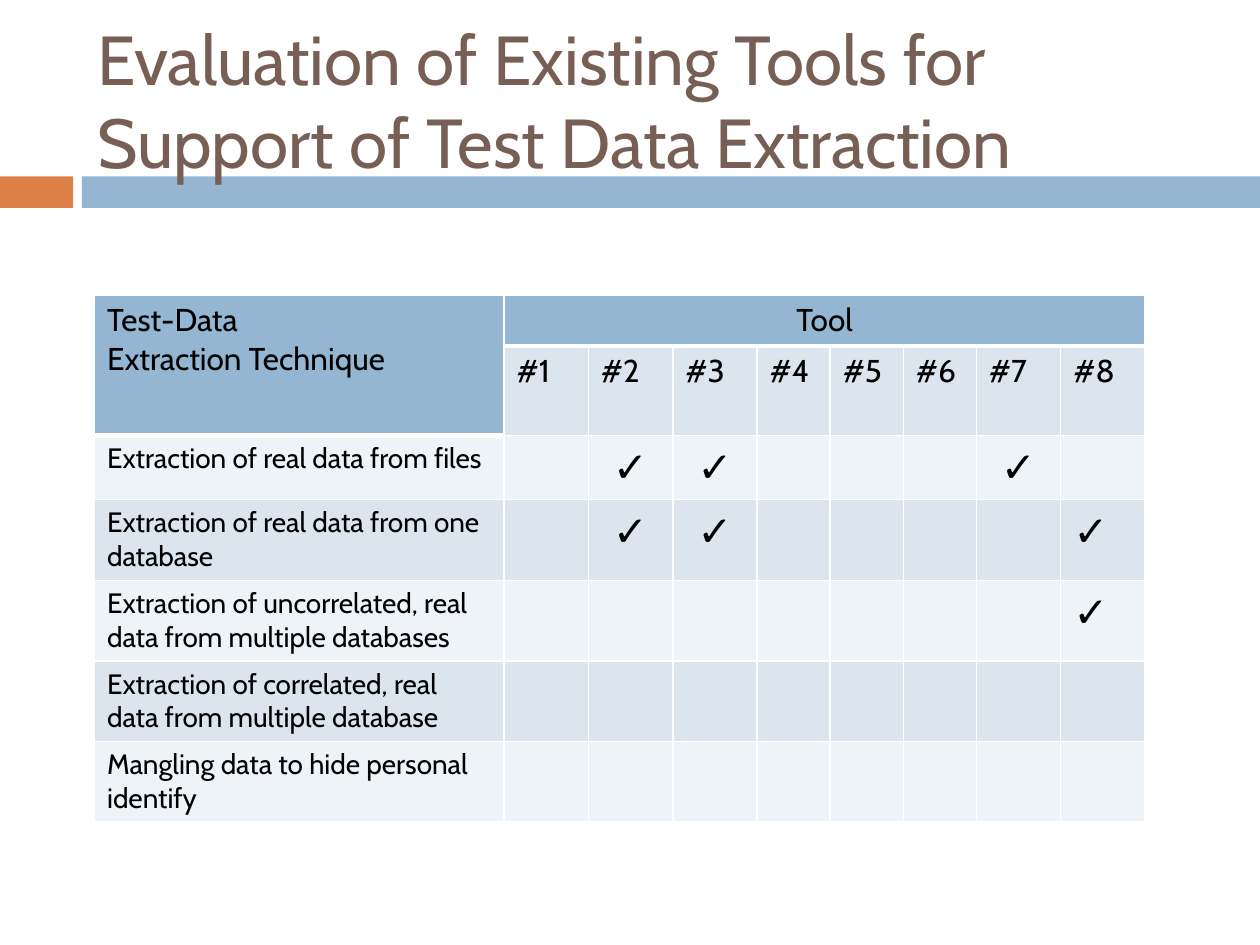
import pptx
import pptx.util
import pptx.dml.color
import pptx.enum.shapes
import pptx.enum.text
import pptx.oxml
import pptx.oxml.ns

Inches = pptx.util.Inches
ALIGN = pptx.enum.text.PP_ALIGN

TITLE = "Evaluation of Existing Tools for Support of Test Data Extraction"
TECHNIQUE_HEADING = "Test-Data\nExtraction Technique"
TOOL_HEADING = "Tool"
TOOL_COUNT = 8
# Technique, then the alignment of the check mark for each supporting tool
TECHNIQUES = [
    ("Extraction of real data from files",
     {2: ALIGN.CENTER, 3: ALIGN.CENTER, 7: ALIGN.CENTER}),
    ("Extraction of real data from one database",
     {2: ALIGN.CENTER, 3: ALIGN.CENTER, 8: ALIGN.LEFT}),
    ("Extraction of uncorrelated, real data from multiple databases",
     {8: ALIGN.LEFT}),
    ("Extraction of correlated, real data from multiple database", {}),
    ("Mangling data to hide personal identify", {}),
]

THEME = {
    "font": "Cabin",
    "title": "775F55", "text": "000000", "line": "FFFFFF",
    "accent": "DD8047", "header": "94B6D2",
    "bands": ("DCE5EE", "EEF3F7"),
    "title_size": 39.6, "header_size": 18, "body_size": 16, "check_size": 24,
}
BARS = [(0, 0.58, THEME["accent"]), (0.65, 9.35, THEME["header"])]
BAR_TOP, BAR_HEIGHT = 1.4, 0.25
COLUMN_WIDTHS = [3.25] + [0.67] * 3 + [0.58] * 3 + [0.67] * 2
ROW_HEIGHTS = [0.4, 0.7, 0.51] + [0.64] * 4


def rgb(value):
    return pptx.dml.color.RGBColor.from_string(value)


def write(frame, text, size, color=THEME["text"], align=ALIGN.LEFT):
    frame.text = text
    for paragraph in frame.paragraphs:
        paragraph.alignment = align
        for run in paragraph.runs:
            run.font.name = THEME["font"]
            run.font.size = pptx.util.Pt(size)
            run.font.bold = False
            run.font.color.rgb = rgb(color)


def style_cell(cell, fill, bottom=1):
    """Give the cell its borders (widths in points), then its fill."""
    properties = cell._tc.get_or_add_tcPr()
    for side, width in (("L", 1), ("R", 1), ("T", 1), ("B", bottom)):
        properties.append(pptx.oxml.parse_xml(
            f'<a:ln{side} {pptx.oxml.ns.nsdecls("a")} w="{pptx.util.Pt(width)}">'
            f'<a:solidFill><a:srgbClr val="{THEME["line"]}"/></a:solidFill>'
            f'</a:ln{side}>'))
    cell.fill.solid()
    cell.fill.fore_color.rgb = rgb(fill)


def add_title(slide):
    title = slide.shapes.title
    title.left, title.top = Inches(0.67), Inches(0.25)
    title.width, title.height = Inches(8.92), Inches(1.08)
    frame = title.text_frame
    frame.word_wrap = True
    frame.auto_size = pptx.enum.text.MSO_AUTO_SIZE.NONE
    frame.vertical_anchor = pptx.enum.text.MSO_ANCHOR.MIDDLE
    write(frame, TITLE, THEME["title_size"], color=THEME["title"])


def add_bars(slide):
    """Place the divider bars behind the title."""
    for left, width, color in BARS:
        bar = slide.shapes.add_shape(
            pptx.enum.shapes.MSO_SHAPE.RECTANGLE,
            Inches(left), Inches(BAR_TOP), Inches(width), Inches(BAR_HEIGHT))
        bar.shadow.inherit = False
        bar.fill.solid()
        bar.fill.fore_color.rgb = rgb(color)
        bar.line.fill.background()
        slide.shapes.title.element.addprevious(bar.element)


def add_tool_table(slide):
    table = slide.shapes.add_table(
        len(ROW_HEIGHTS), len(COLUMN_WIDTHS), Inches(0.75), Inches(2.34),
        Inches(sum(COLUMN_WIDTHS)), Inches(sum(ROW_HEIGHTS))).table
    for column, width in zip(table.columns, COLUMN_WIDTHS):
        column.width = Inches(width)
    for row, height in zip(table.rows, ROW_HEIGHTS):
        row.height = Inches(height)

    for row in range(len(ROW_HEIGHTS)):
        for column in range(len(COLUMN_WIDTHS)):
            is_header = row == 0 or (row == 1 and column == 0)
            fill = THEME["header"] if is_header else THEME["bands"][(row + 1) % 2]
            style_cell(table.cell(row, column), fill, bottom=3 if is_header else 1)
    table.cell(0, 0).merge(table.cell(1, 0))
    table.cell(0, 1).merge(table.cell(0, TOOL_COUNT))

    header_size = THEME["header_size"]
    write(table.cell(0, 0).text_frame, TECHNIQUE_HEADING, header_size)
    write(table.cell(0, 1).text_frame, TOOL_HEADING, header_size, align=ALIGN.CENTER)
    for tool in range(1, TOOL_COUNT + 1):
        write(table.cell(1, tool).text_frame, f"#{tool}", header_size)
    for row, (technique, checks) in enumerate(TECHNIQUES, start=2):
        write(table.cell(row, 0).text_frame, technique, THEME["body_size"])
        for tool, align in checks.items():
            write(table.cell(row, tool).text_frame, "✓", THEME["check_size"], align=align)


def main():
    presentation = pptx.Presentation()
    presentation.slide_width, presentation.slide_height = Inches(10), Inches(7.5)
    slide = presentation.slides.add_slide(
        presentation.slide_layouts.get_by_name("Title Only"))
    add_title(slide)
    add_bars(slide)
    add_tool_table(slide)
    presentation.save("out.pptx")


if __name__ == "__main__":
    main()
